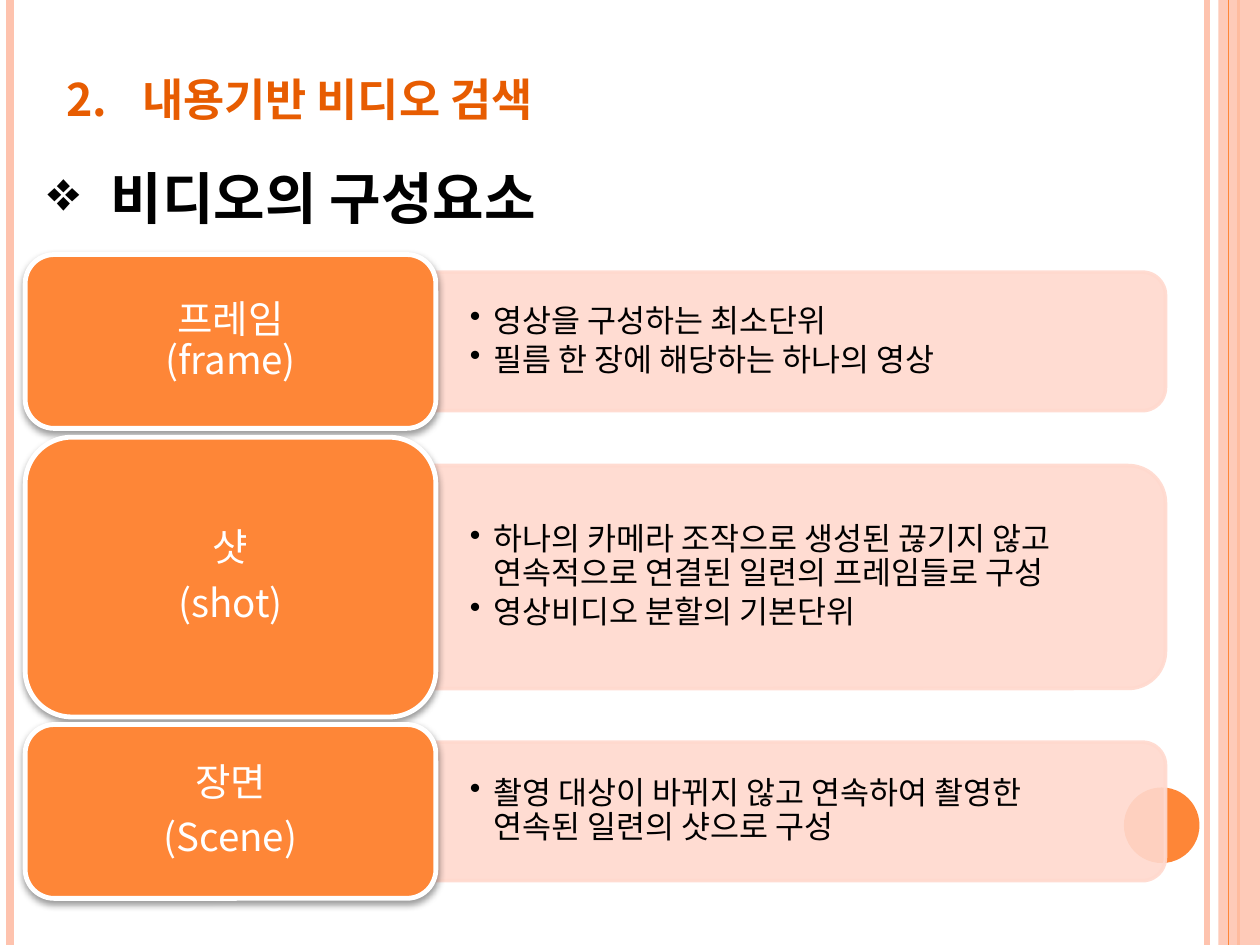
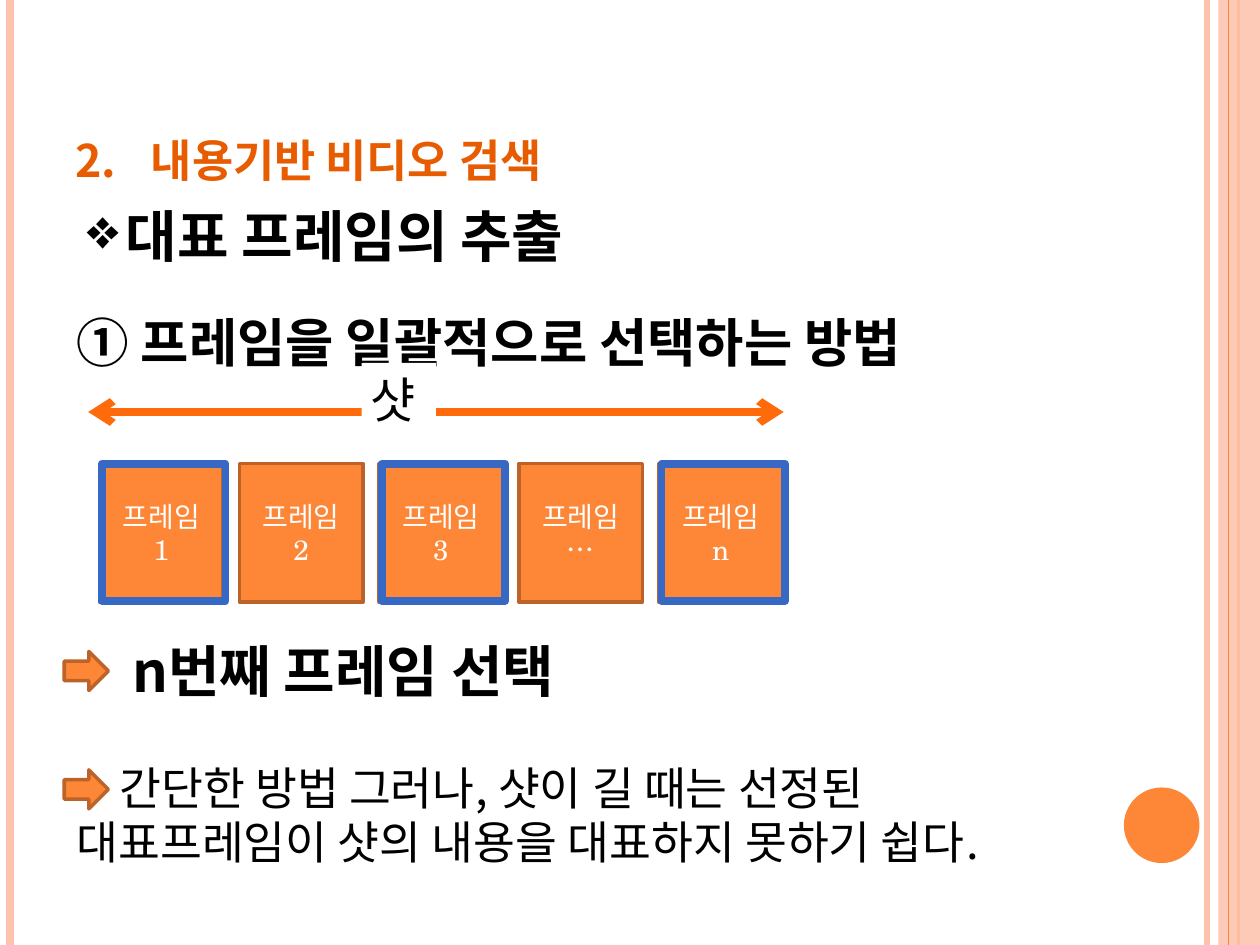
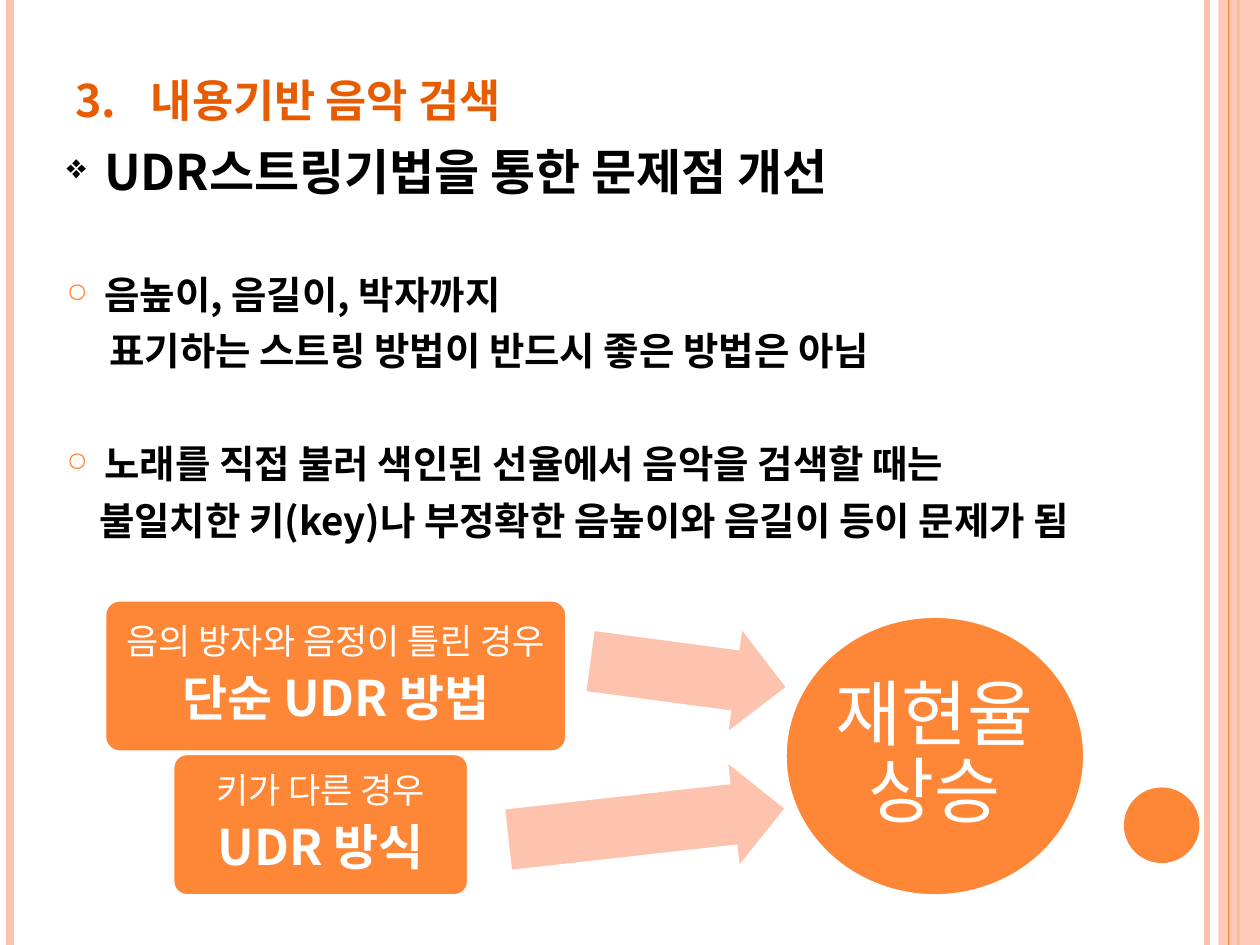
"""Build three slides on content-based video and music retrieval."""
from lxml.etree import SubElement
from pptx import Presentation
from pptx.dml.color import RGBColor
from pptx.enum.shapes import MSO_CONNECTOR, MSO_SHAPE
from pptx.enum.text import MSO_ANCHOR, PP_ALIGN
from pptx.oxml.ns import qn
from pptx.util import Pt

PX = 9144
WIDTH, HEIGHT = 1000, 750
ORANGE, DARK_ORANGE, TITLE_ORANGE, ARROW_ORANGE = "FE8637", "BC6329", "E75C01", "FF6B0A"
PINK, PALE_PINK, BLUE, WHITE, BLACK = "FEC3AE", "FFD9CE", "3668C4", "FFFFFF", "000000"
KOREAN, SERIF = "Noto Sans CJK KR", "TeX Gyre Schola"
TEXT_STYLE = dict(
    size=18, colour=BLACK, bold=False, font=KOREAN, caps=None,
    align=PP_ALIGN.LEFT, spacing=None, before=0, after=0,
    margin=0, indent=0, bullet=None, bullet_colour=BLACK, bullet_size=100,
)


def add_box(slide, kind, bounds, fill=None, line=None, line_width=2, alpha=100):
    """Add a preset shape, or a text box when kind is None."""
    lengths = [round(length * PX) for length in bounds]
    if kind is None:
        return slide.shapes.add_textbox(*lengths)
    shape = slide.shapes.add_shape(kind, *lengths)
    shape.shadow.inherit = False
    for target, colour in ((shape.fill, fill), (shape.line.fill, line)):
        if colour:
            target.solid()
            target.fore_color.rgb = RGBColor.from_string(colour)
        else:
            target.background()
    if line:
        shape.line.width = Pt(line_width)
    if alpha < 100:
        for colour in shape._element.spPr.iter(qn("a:srgbClr")):
            SubElement(colour, qn("a:alpha"), val=str(alpha * 1000))
    return shape


def write(shape, lines, anchor=MSO_ANCHOR.TOP, insets=(10, 5, 10, 5), **style):
    """Fill a shape with paragraphs given as (text, style changes) pairs."""
    frame = shape.text_frame
    frame.word_wrap = True
    frame.vertical_anchor = anchor
    frame.margin_left, frame.margin_top, frame.margin_right, frame.margin_bottom = (
        inset * PX for inset in insets)
    for index, (text, changes) in enumerate(lines):
        look = TEXT_STYLE | style | changes
        paragraph = frame.add_paragraph() if index else frame.paragraphs[0]
        paragraph.alignment = look["align"]
        paragraph.line_spacing = look["spacing"]
        paragraph.space_before = Pt(look["before"])
        paragraph.space_after = Pt(look["after"])
        properties = paragraph._p.get_or_add_pPr()
        properties.set("marL", str(look["margin"] * PX))
        properties.set("indent", str(look["indent"] * PX))
        if look["bullet"]:
            colour = SubElement(properties, qn("a:buClr"))
            SubElement(colour, qn("a:srgbClr"), val=look["bullet_colour"])
            SubElement(properties, qn("a:buSzPct"), val=str(look["bullet_size"] * 1000))
            SubElement(properties, qn("a:buChar"), char=look["bullet"])
        for part_index, part in enumerate(text.split("\n")):
            if part_index:
                paragraph.add_line_break()
            run = paragraph.add_run()
            run.text = part
            run.font.size = Pt(look["size"])
            run.font.bold = look["bold"]
            run.font.name = look["font"]
            run.font.color.rgb = RGBColor.from_string(look["colour"])
            run_properties = run._r.get_or_add_rPr()
            SubElement(run_properties, qn("a:ea"), typeface=KOREAN)
            if look["caps"]:
                run_properties.set("cap", look["caps"])


presentation = Presentation()
presentation.slide_width = WIDTH * PX
presentation.slide_height = HEIGHT * PX

side_lines = [
    ((958, 0, 958, HEIGHT), PINK, 3, None),
    ((8, 0, 8, HEIGHT), PINK, 4.5, None),
    ((983, 0, 983, HEIGHT), ORANGE, 1.5, None),
    ((975, 0, 975, HEIGHT), ORANGE, 0.75, None),
]
shot_span = ((70, 327, 622, 327), ARROW_ORANGE, 4.5, "arrow")
headers = [
    ("2.\t내용기반 비디오 검색", (43, -19, 817, 125), []),
    ("2.\t내용기반 비디오 검색", (50, 30, 817, 125), [shot_span]),
    ("3.\t내용기반 음악 검색", (50, 30, 817, 77), []),
]
slides = []
for title, bounds, extra_lines in headers:
    slide = presentation.slides.add_slide(presentation.slide_layouts[6])
    slides.append(slide)
    for ends, colour, width, arrowhead in extra_lines + side_lines:
        connector = slide.shapes.add_connector(
            MSO_CONNECTOR.STRAIGHT, *(end * PX for end in ends))
        connector.line.color.rgb = RGBColor.from_string(colour)
        connector.line.width = Pt(width)
        if arrowhead:
            for end_tag in ("a:headEnd", "a:tailEnd"):
                SubElement(connector.line._ln, qn(end_tag), type=arrowhead)
        SubElement(connector._element.spPr, qn("a:effectLst"))
    band = add_box(slide, MSO_SHAPE.RECTANGLE, (967, 0, 33, HEIGHT), PINK, alpha=87)
    band._element.addnext(connector._element)
    add_box(slide, MSO_SHAPE.OVAL, (892, 625, 60, 60), ORANGE)
    write(add_box(slide, None, bounds), [(title, {})], anchor=MSO_ANCHOR.BOTTOM,
          size=32, colour=TITLE_ORANGE, bold=True, caps="small", margin=60, indent=-60)
parts_slide, frames_slide, music_slide = slides

video_parts = [
    (202, 138, ["프레임\n(frame)"],
     ["영상을 구성하는 최소단위", "필름 한 장에 해당하는 하나의 영상"]),
    (347, 222, ["샷", "(shot)"],
     ["하나의 카메라 조작으로 생성된 끊기지 않고 연속적으로 연결된 일련의 프레임들로 구성",
      "영상비디오 분할의 기본단위"]),
    (575, 138, ["장면", "(Scene)"],
     ["촬영 대상이 바뀌지 않고 연속하여 촬영한 연속된 일련의 샷으로 구성"]),
]
for top, height, names, descriptions in video_parts:
    middle = top + height // 2
    depth = height * 4 // 5
    panel = add_box(parts_slide, MSO_SHAPE.ROUND_2_SAME_RECTANGLE,
                    (635 - depth / 2, middle - 290, depth, 580),
                    PALE_PINK, PALE_PINK, alpha=90)
    panel.rotation = 90
    write(add_box(parts_slide, None, (346, middle - depth / 2, 574, depth)),
          [(description, {}) for description in descriptions],
          anchor=MSO_ANCHOR.MIDDLE, insets=(27, 14, 35, 14), spacing=0.9, after=2.7,
          margin=19, indent=-19, bullet="•")
    name_box = add_box(parts_slide, MSO_SHAPE.ROUNDED_RECTANGLE, (20, top, 326, height),
                       ORANGE, WHITE, 2.75)
    effects = name_box._element.spPr.find(qn("a:effectLst"))
    shadow = SubElement(effects, qn("a:outerShdw"), blurRad=str(Pt(4)), dist=str(Pt(2)),
                        dir="5400000", rotWithShape="0")
    shadow_colour = SubElement(shadow, qn("a:srgbClr"), val=BLACK)
    SubElement(shadow_colour, qn("a:alpha"), val="40000")
    write(name_box, [(name, {}) for name in names], anchor=MSO_ANCHOR.MIDDLE,
          insets=(9, 5, 9, 5), size=22, colour=WHITE, align=PP_ALIGN.CENTER,
          spacing=0.9, after=7.7)
write(add_box(parts_slide, None, (28, 125, 445, 64)), [("비디오의 구성요소", {})],
      size=32, bold=True, margin=50, indent=-50, bullet="❖")

write(add_box(frames_slide, None, (59, 155, 535, 64)), [("대표 프레임의 추출", {})],
      size=32, bold=True, margin=31, indent=-31, bullet="❖")
write(add_box(frames_slide, None, (51, 241, 817, 64)),
      [("➀ 프레임을 일괄적으로 선택하는 방법", {})], size=30, bold=True)
shot_label = add_box(frames_slide, MSO_SHAPE.RECTANGLE, (287, 288, 59, 69), WHITE)
write(shot_label, [("샷", {})], insets=(7, 5, 5, 5), size=28, font=SERIF)
for index, number in enumerate(["1", "2", "3", "…", "n"]):
    frame_box = add_box(frames_slide, MSO_SHAPE.RECTANGLE, (79 + 111 * index, 368, 98, 110),
                        ORANGE, DARK_ORANGE)
    write(frame_box, [(f"프레임\n{number}", {})], anchor=MSO_ANCHOR.MIDDLE,
          size=16, colour=WHITE, font=SERIF, align=PP_ALIGN.CENTER)
for index in range(3):
    add_box(frames_slide, MSO_SHAPE.RECTANGLE, (81 + 222 * index, 368, 98, 109),
            line=BLUE, line_width=4.5)
for top in (517, 611):
    add_box(frames_slide, MSO_SHAPE.RIGHT_ARROW, (51, top, 35, 31), ORANGE, DARK_ORANGE)
write(add_box(frames_slide, None, (95, 500, 392, 64)), [("n번째 프레임 선택", {})],
      size=32, bold=True)
write(add_box(frames_slide, None, (51, 598, 817, 113)),
      [("간단한 방법 그러나, 샷이 길 때는 선정된 대표프레임이 샷의 내용을 대표하지 못하기 쉽다.", {})],
      size=26, indent=34)

write(add_box(music_slide, None, (43, 107, 817, 71)),
      [("UDR스트링기법을 통한 문제점 개선", {})],
      size=28, bold=True, margin=30, indent=-30, bullet="❖", bullet_size=70)
ring = dict(indent=-30, bullet="○", bullet_colour=ORANGE, bullet_size=70)
write(add_box(music_slide, None, (43, 210, 825, 260)), [
    ("음높이, 음길이, 박자까지", ring),
    ("표기하는 스트링 방법이 반드시 좋은 방법은 아님", dict(before=6, indent=4)),
    ("노래를 직접 불러 색인된 선율에서 음악을 검색할 때는", ring | dict(before=38)),
    ("불일치한 키(key)나 부정확한 음높이와 음길이 등이 문제가 됨", dict(before=6, indent=-4)),
], size=22, bold=True, margin=30)

result = add_box(music_slide, MSO_SHAPE.OVAL, (623, 489, 238, 222), ORANGE, WHITE)
write(result, [("재현율 상승", {})], anchor=MSO_ANCHOR.MIDDLE, insets=(3, 3, 3, 3),
      size=41, colour=WHITE, font=SERIF, align=PP_ALIGN.CENTER, spacing=0.9, after=14.35)
methods = [
    ("키가 다른 경우", "UDR 방식", (137, 598, 235, 113), (403, 614, 220, 80), 173.6),
    ("음의 방자와 음정이 틀린 경우", "단순 UDR 방법", (83, 476, 367, 121),
     (468, 495, 156, 80), 187.6),
]
for case, method, box_bounds, arrow_bounds, angle in methods:
    arrow = add_box(music_slide, MSO_SHAPE.LEFT_ARROW, arrow_bounds, PINK)
    arrow.adjustments[0] = 0.6
    arrow.rotation = angle
    method_box = add_box(music_slide, MSO_SHAPE.ROUNDED_RECTANGLE, box_bounds, ORANGE, WHITE)
    method_box.adjustments[0] = 0.1
    write(method_box, [(case, dict(after=7)), (method, dict(size=28, bold=True, after=9.8))],
          anchor=MSO_ANCHOR.MIDDLE, insets=(4, 4, 4, 4), size=20, colour=WHITE,
          align=PP_ALIGN.CENTER, spacing=0.9)

presentation.save("out.pptx")
